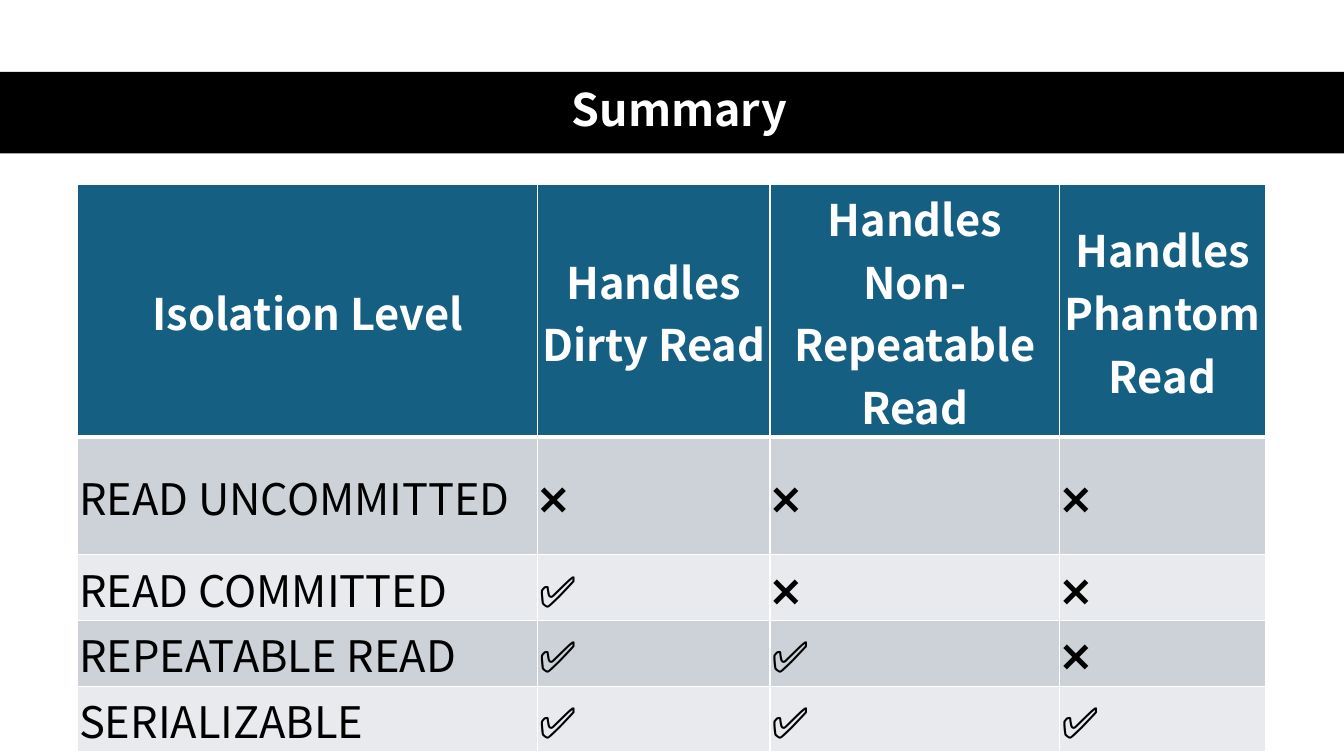
"""Build the summary slide comparing transaction isolation levels."""
from dataclasses import dataclass

from lxml import etree
from pptx import Presentation
from pptx.dml.color import RGBColor
from pptx.enum.shapes import MSO_SHAPE
from pptx.enum.text import MSO_ANCHOR, MSO_AUTO_SIZE, PP_ALIGN
from pptx.oxml.ns import qn
from pptx.slide import Slide
from pptx.table import _Cell
from pptx.util import Pt

RECT = MSO_SHAPE.RECTANGLE
MIDDLE = MSO_ANCHOR.MIDDLE
CENTER, LEFT = PP_ALIGN.CENTER, PP_ALIGN.LEFT
NO_FIT = MSO_AUTO_SIZE.NONE


@dataclass(frozen=True)
class Theme:
    font: str = "Noto Sans CJK SC"
    white: str = "FFFFFF"
    black: str = "000000"
    head: str = "156082"
    bands: tuple[str, str] = ("CCD2D8", "E8EAED")
    title: float = 32
    body: float = 31


@dataclass(frozen=True)
class Box:
    left: float
    top: float
    width: float
    height: float

    def points(self) -> list[Pt]:
        return [Pt(n) for n in (self.left, self.top, self.width, self.height)]


@dataclass(frozen=True)
class Look:
    fill: str
    color: str
    bold: bool
    align: PP_ALIGN
    base: float


@dataclass(frozen=True)
class Level:
    name: str
    handled: int
    height: float


THEME = Theme()
BAR = Box(0, 51.3, 960, 58.2)
TITLE = Box(44, 50.5, 882.5, 58.5)
GRID = Box(55.5, 132, 848.2, 346.5)
WIDTHS = (328.4, 166.1, 207.1, 146.6)
HEADS = ("Isolation Level", "Handles Dirty Read",
         "Handles Non-Repeatable Read", "Handles Phantom Read")
HEAD_ROW = 121.5
LEVELS = (
    Level("READ UNCOMMITTED", 0, 84),
    Level("READ COMMITTED", 1, 47),
    Level("REPEATABLE READ", 2, 47),
    Level("SERIALIZABLE", 3, 47),
)
INSETS = {
    "margin_left": Pt(1.08),
    "margin_top": Pt(1.05),
    "margin_right": Pt(1.08),
    "margin_bottom": Pt(0),
    "vertical_anchor": MIDDLE,
}


def apply(target: object, values: dict) -> None:
    for name, value in values.items():
        setattr(target, name, value)


def style(para: object, size: float, color: str, bold: bool) -> None:
    for run in para.runs:
        apply(run.font, {"name": THEME.font, "size": Pt(size), "bold": bold})
        run.font.color.rgb = RGBColor.from_string(color)
        face = etree.SubElement(run.font._element, qn("a:ea"))
        face.set("typeface", THEME.font)


def border(cell: _Cell, base: float) -> None:
    props = cell._tc.get_or_add_tcPr()
    edges = {"L": 1, "R": 1, "T": 1, "B": base}
    for spot, (side, width) in enumerate(edges.items()):
        line = etree.Element(qn(f"a:ln{side}"), w=str(Pt(width)))
        fill = etree.SubElement(line, qn("a:solidFill"))
        etree.SubElement(fill, qn("a:srgbClr"), val=THEME.white)
        props.insert(spot, line)


def write(cell: _Cell, text: str, look: Look) -> None:
    cell.text = text
    apply(cell, INSETS)
    cell.fill.solid()
    cell.fill.fore_color.rgb = RGBColor.from_string(look.fill)
    para = cell.text_frame.paragraphs[0]
    para.alignment = look.align
    style(para, THEME.body, look.color, look.bold)
    border(cell, look.base)


def add_title(slide: Slide) -> None:
    bar = slide.shapes.add_shape(RECT, *BAR.points())
    bar.shadow.inherit = False
    bar.fill.solid()
    bar.fill.fore_color.rgb = RGBColor.from_string(THEME.black)
    bar.line.fill.background()

    title = slide.shapes.title
    title._element.addprevious(bar._element)
    names = ("left", "top", "width", "height")
    apply(title, dict(zip(names, TITLE.points())))
    frame = title.text_frame
    frame.text = "Summary"
    apply(frame, {"vertical_anchor": MIDDLE, "word_wrap": True,
                  "auto_size": NO_FIT})
    para = frame.paragraphs[0]
    apply(para, {"alignment": CENTER, "line_spacing": 0.9})
    style(para, THEME.title, THEME.white, True)


def add_grid(slide: Slide) -> None:
    rows = [HEADS]
    looks = [Look(THEME.head, THEME.white, True, CENTER, 3)]
    for spot, level in enumerate(LEVELS):
        marks = ["✅" if col < level.handled else "❌"
                 for col in range(len(HEADS) - 1)]
        rows.append((level.name, *marks))
        looks.append(Look(THEME.bands[spot % 2], THEME.black, False, LEFT, 1))

    shape = slide.shapes.add_table(len(rows), len(HEADS), *GRID.points())
    table = shape.table
    for col, width in zip(table.columns, WIDTHS):
        col.width = Pt(width)
    heights = (HEAD_ROW, *(level.height for level in LEVELS))
    for row, height, texts, look in zip(table.rows, heights, rows, looks):
        row.height = Pt(height)
        for cell, text in zip(row.cells, texts):
            write(cell, text, look)


def main() -> None:
    deck = Presentation()
    apply(deck, {"slide_width": Pt(960), "slide_height": Pt(540)})
    slide = deck.slides.add_slide(deck.slide_layouts.get_by_name("Title Only"))
    add_title(slide)
    add_grid(slide)
    deck.save("out.pptx")


if __name__ == "__main__":
    main()
